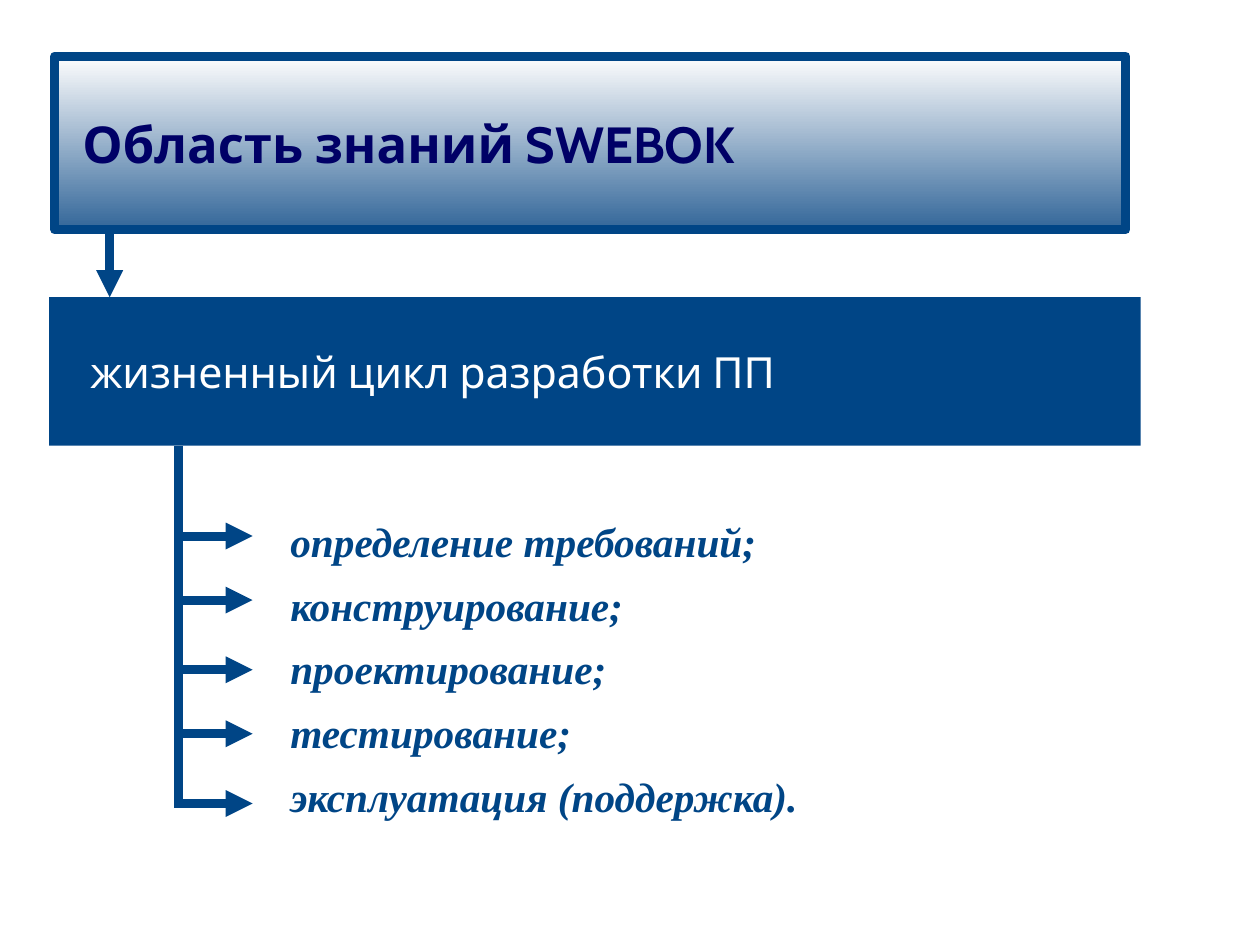
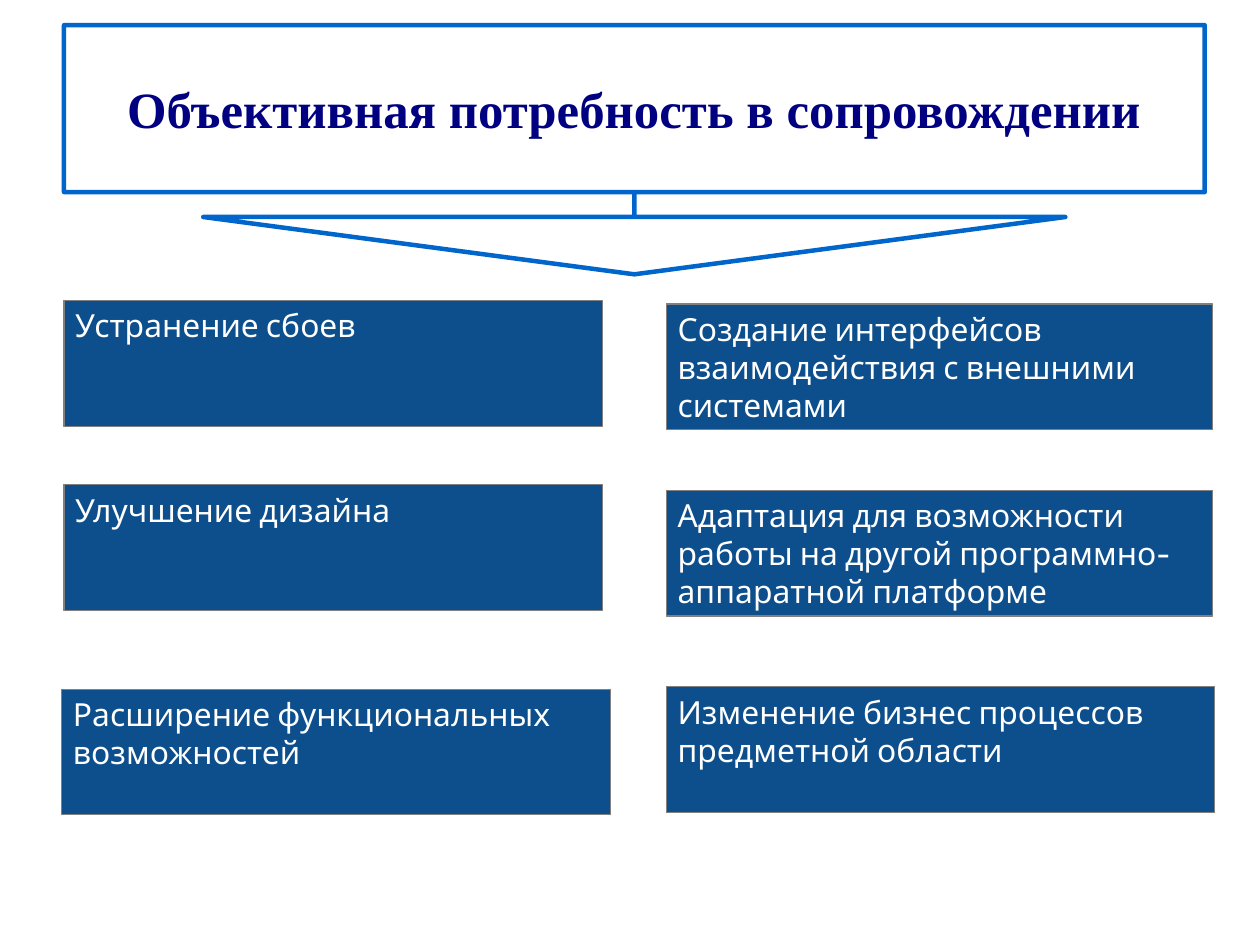
from pptx import Presentation
from pptx.dml.color import RGBColor
from pptx.enum.shapes import MSO_CONNECTOR as Connector, MSO_SHAPE as Shape
from pptx.enum.text import MSO_ANCHOR as Anchor, MSO_AUTO_SIZE as AutoSize, PP_ALIGN as Align
from pptx.oxml.ns import qn
from pptx.util import Cm, Inches, Pt
from lxml.etree import SubElement

COLOURS = {
    "navy": "004586", "white": "FFFFFF", "pale": "FEFEFE", "steel": "336699",
    "title": "000066", "heading": "000080", "outline": "0066CC", "grey": "808080",
}
SANS, SERIF = "Cabin", "Times New Roman"
TITLE_SIZE = 32
THICK = 5.67

STAGES = [
    ("определение требований;", 4.69),
    ("конструирование;", 5.25),
    ("проектирование;", 5.86),
    ("тестирование;", 6.42),
    ("эксплуатация (поддержка).", 7.03),
]
REASONS = [
    ("Устранение сбоев", 0.56, 2.63, 4.71),
    ("Создание интерфейсов взаимодействия с внешними системами", 5.83, 2.66, 4.78),
    ("Улучшение дизайна", 0.56, 4.24, 4.71),
    ("Адаптация для возможности работы на другой программно-аппаратной платформе",
     5.83, 4.29, 4.78),
    ("Расширение функциональных возможностей", 0.54, 6.03, 4.8),
    ("Изменение бизнес процессов предметной области", 5.83, 6.01, 4.8),
]


def rgb(name):
    """Return a palette colour."""
    return RGBColor.from_string(COLOURS[name])


def place(shape, left, top, width, height):
    """Move and size a shape in inches."""
    shape.left, shape.top = Inches(left), Inches(top)
    shape.width, shape.height = Inches(width), Inches(height)


def outline(shape, line, width):
    """Set or remove the outline of a shape."""
    if line:
        shape.line.color.rgb = rgb(line)
        shape.line.width = Pt(width)
    else:
        shape.line.fill.background()


def paint(shape, fill, line=None, width=0.75):
    """Give a shape a solid fill and an optional outline."""
    shape.fill.solid()
    shape.fill.fore_color.rgb = rgb(fill)
    outline(shape, line, width)


def write(shape, text, font, size, colour, bold=False, italic=False,
          align=Align.LEFT, anchor=Anchor.MIDDLE, insets=(0.11, 0.06, 0.11, 0.06)):
    """Fill a shape with formatted text."""
    frame = shape.text_frame
    frame.text = text
    frame.word_wrap = True
    frame.auto_size = AutoSize.NONE
    frame.vertical_anchor = anchor
    frame.margin_left, frame.margin_top, frame.margin_right, frame.margin_bottom = map(
        Inches, insets)
    for para in frame.paragraphs:
        para.alignment = align
        for span in para.runs:
            span.font.name, span.font.size = font, Pt(size)
            span.font.bold, span.font.italic = bold, italic
            span.font.color.rgb = rgb(colour)


def add_box(page, kind, left, top, width, height):
    """Add a preset shape without a shadow."""
    box = page.shapes.add_shape(kind, *map(Inches, (left, top, width, height)))
    box.shadow.inherit = False
    return box


def add_line(page, start, end, arrow=True):
    """Add a thick navy line, with an arrowhead if wanted."""
    line = page.shapes.add_connector(Connector.STRAIGHT, *map(Inches, start + end))
    outline(line, "navy", THICK)
    properties = line.element.spPr
    if arrow:
        SubElement(properties.find(qn("a:ln")), qn("a:tailEnd"), type="triangle")
    SubElement(properties, qn("a:effectLst"))


def add_list(body, items):
    """Fill the body placeholder with an unbulleted list."""
    place(body, 2.43, 4.43, 6.2, 2.9)
    write(body, "\n".join(items), SERIF, 26, "navy", bold=True, italic=True)
    for para in body.text_frame.paragraphs:
        properties = para._p.get_or_add_pPr()
        properties.set("marL", "0")
        properties.set("indent", "0")
        SubElement(properties, qn("a:buNone"))
        para.line_spacing = 0.87
        para.space_before, para.space_after = Pt(0), Pt(12.9)


def add_reason(page, text, left, top, width):
    """Add one slightly transparent reason box."""
    box = add_box(page, Shape.RECTANGLE, left, top, width, 1.1)
    paint(box, "navy", "grey")
    colour = box.element.spPr.find(qn("a:solidFill")).find(qn("a:srgbClr"))
    SubElement(colour, qn("a:alpha"), val="95000")
    write(box, text, SANS, 20, "white", anchor=Anchor.TOP, insets=(0.1, 0.05, 0.1, 0.05))


def add_page(deck, layout):
    """Add a slide that uses the named layout."""
    return deck.slides.add_slide(deck.slide_layouts.get_by_name(layout))


def build_life_cycle(deck):
    """Build the slide on the life cycle."""
    page = add_page(deck, "Title and Content")
    title, body = page.placeholders
    place(title, 0.48, 0.49, 9.37, 1.52)
    title.fill.gradient()
    title.fill.gradient_angle = 270
    for stop, name in zip(title.fill.gradient_stops, ("pale", "steel")):
        stop.color.rgb = rgb(name)
    outline(title, "navy", THICK)
    write(title, "Область знаний SWEBOK", SANS, TITLE_SIZE, "title", bold=True,
          insets=(0.24, 0.1, 0.15, 0.1))
    add_list(body, [stage for stage, level in STAGES])

    band = add_box(page, Shape.RECTANGLE, 0.43, 2.6, 9.55, 1.3)
    paint(band, "navy")
    write(band, "жизненный цикл разработки ПП", SANS, 27, "white",
          insets=(0.36, 0.06, 0.11, 0.06))
    add_line(page, (0.96, 2.01), (0.96, 2.6))

    trunk = 1.56
    add_line(page, (trunk, 3.9), (trunk, 7.07), arrow=False)
    for stage, level in STAGES:
        add_line(page, (trunk, level), (2.21, level))


def build_maintenance(deck):
    """Build the slide on the need for maintenance."""
    page = add_page(deck, "Title Only")
    title = page.shapes.title
    callout = add_box(page, Shape.DOWN_ARROW_CALLOUT, 0.56, 0.22, 9.98, 2.18)
    for index, value in enumerate((0, 1.73, 0.23, 0.67)):
        callout.adjustments[index] = value
    callout.fill.background()
    outline(callout, "outline", 2.83)
    place(title, 0.56, 0.22, 9.98, 1.45)
    write(title, "Объективная потребность в сопровождении", SERIF, TITLE_SIZE,
          "heading", bold=True, align=Align.CENTER, insets=(0.12, 0.07, 0.12, 0.07))
    for reason in REASONS:
        add_reason(page, *reason)


def main():
    """Build and save the deck."""
    deck = Presentation()
    deck.slide_width, deck.slide_height = Cm(28), Cm(21)
    build_life_cycle(deck)
    build_maintenance(deck)
    deck.save("out.pptx")


if __name__ == "__main__":
    main()
